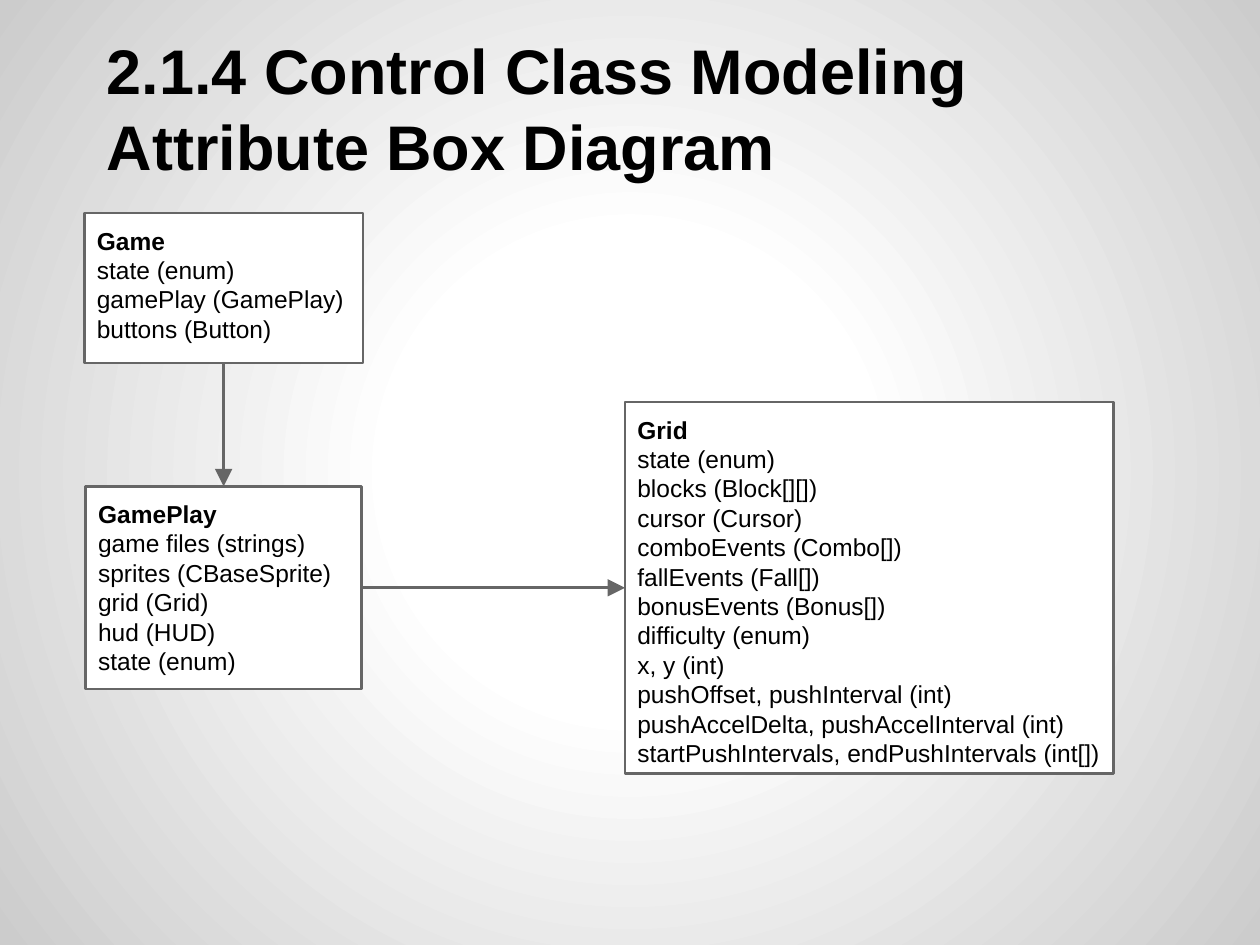
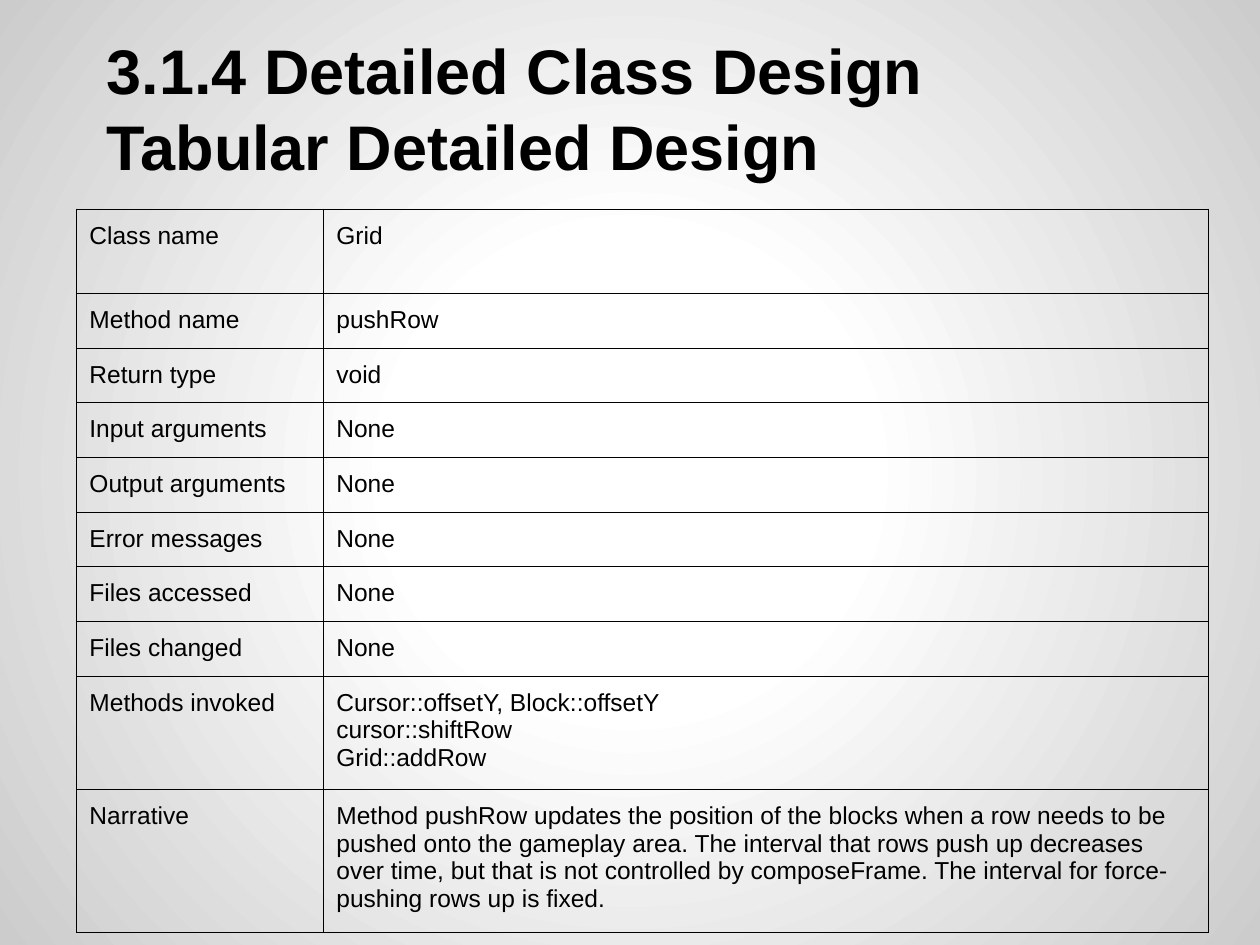
from dataclasses import dataclass

from lxml.etree import SubElement
from pptx import Presentation
from pptx.dml.color import RGBColor
from pptx.enum.shapes import MSO_CONNECTOR, MSO_SHAPE
from pptx.enum.text import MSO_ANCHOR, PP_ALIGN
from pptx.oxml import parse_xml
from pptx.oxml.ns import nsdecls, qn
from pptx.util import Inches, Pt


@dataclass(frozen=True)
class Theme:
    font: str = "Arial"
    text: str = "000000"
    box_fill: str = "FFFFFF"
    box_line: str = "666666"
    glow: str = "FFFFFF"
    edge: str = "CCCCCC"
    title_size: int = 36
    body_size: int = 14
    box_weight: float = 1.5
    border_weight: float = 0.75
    inset: float = 0.1


THEME = Theme()
TITLE_BOX = (0.5, 0.3, 9, 1.25)
TOP, LEFT, BOTTOM, RIGHT = range(4)

# Class boxes: position and attributes
CLASSES = {
    "Game": ((0.67, 1.69, 2.21, 1.19), [
        "state (enum)", "gamePlay (GamePlay)", "buttons (Button)"]),
    "GamePlay": ((0.68, 3.86, 2.19, 1.61), [
        "game files (strings)", "sprites (CBaseSprite)", "grid (Grid)",
        "hud (HUD)", "state (enum)"]),
    "Grid": ((4.96, 3.19, 3.88, 2.95), [
        "state (enum)", "blocks (Block[][])", "cursor (Cursor)",
        "comboEvents (Combo[])", "fallEvents (Fall[])",
        "bonusEvents (Bonus[])", "difficulty (enum)", "x, y (int)",
        "pushOffset, pushInterval (int)",
        "pushAccelDelta, pushAccelInterval (int)",
        "startPushIntervals, endPushIntervals (int[])"]),
}
ARROWS = [("Game", BOTTOM, "GamePlay", TOP), ("GamePlay", RIGHT, "Grid", LEFT)]

# Design table: row height, label, lines of the value
ROW = 0.43
DESIGN = [
    (0.67, "Class name", ["Grid"]),
    (ROW, "Method name", ["pushRow"]),
    (ROW, "Return type", ["void"]),
    (ROW, "Input arguments", ["None"]),
    (ROW, "Output arguments", ["None"]),
    (ROW, "Error messages", ["None"]),
    (ROW, "Files accessed", ["None"]),
    (ROW, "Files changed", ["None"]),
    (0.9, "Methods invoked", ["Cursor::offsetY, Block::offsetY",
                              "cursor::shiftRow", "Grid::addRow"]),
    (1.13, "Narrative", [
        "Method pushRow updates the position of the blocks when a row needs "
        "to be pushed onto the gameplay area. The interval that rows push up "
        "decreases over time, but that is not controlled by composeFrame. "
        "The interval for force-pushing rows up is fixed."]),
]


def rgb(value):
    return RGBColor.from_string(value)


def inches(box):
    return [Inches(v) for v in box]


def set_insets(target):
    for side in ("left", "top", "right", "bottom"):
        setattr(target, f"margin_{side}", Inches(THEME.inset))


def write_lines(tf, lines, size, bold_lines=0, indent=0):
    """One paragraph per line; the first bold_lines are bold."""
    tf.word_wrap = True
    for i, line in enumerate(lines):
        p = tf.paragraphs[0] if i == 0 else tf.add_paragraph()
        p.alignment = PP_ALIGN.LEFT
        if indent:
            p._p.get_or_add_pPr().set("indent", str(Inches(indent)))
        r = p.add_run()
        r.text = line
        r.font.name = THEME.font
        r.font.size = Pt(size)
        r.font.bold = i < bold_lines
        r.font.color.rgb = rgb(THEME.text)


def set_background(master):
    """Radial glow shared by every slide."""
    master.background.fill.gradient()
    grad = master.element.find(".//" + qn("a:gradFill"))
    stops = "".join(
        f'<a:gs pos="{pos * 1000}"><a:srgbClr val="{color}"/></a:gs>'
        for pos, color in ((0, THEME.glow), (30, THEME.glow), (100, THEME.edge)))
    radial = parse_xml(
        f'<a:gradFill {nsdecls("a")} rotWithShape="1"><a:gsLst>{stops}</a:gsLst>'
        '<a:path path="circle"><a:fillToRect l="50000" t="50000" r="50000" '
        'b="50000"/></a:path></a:gradFill>')
    grad.getparent().replace(grad, radial)


def add_title(s, box, lines):
    tf = s.shapes.add_textbox(*inches(box)).text_frame
    set_insets(tf)
    tf.vertical_anchor = MSO_ANCHOR.BOTTOM
    write_lines(tf, lines, THEME.title_size, len(lines), indent=0.25)


def add_class_box(s, box, name, attributes):
    sp = s.shapes.add_shape(MSO_SHAPE.RECTANGLE, *inches(box))
    sp.shadow.inherit = False
    sp.fill.solid()
    sp.fill.fore_color.rgb = rgb(THEME.box_fill)
    sp.line.color.rgb = rgb(THEME.box_line)
    sp.line.width = Pt(THEME.box_weight)
    tf = sp.text_frame
    set_insets(tf)
    tf.vertical_anchor = MSO_ANCHOR.TOP
    write_lines(tf, [name, *attributes], THEME.body_size, 1)
    return sp


def add_arrow(s, source, source_side, target, target_side):
    line = s.shapes.add_connector(MSO_CONNECTOR.STRAIGHT, 0, 0, 0, 0)
    line.begin_connect(source, source_side)
    line.end_connect(target, target_side)
    line.line.color.rgb = rgb(THEME.box_line)
    line.line.width = Pt(THEME.box_weight)
    SubElement(line.line._get_or_add_ln(), qn("a:tailEnd"),
               type="triangle", w="lg", len="lg")
    SubElement(line._element.spPr, qn("a:effectLst"))


def set_borders(cell):
    tc_pr = cell._tc.get_or_add_tcPr()
    for i, side in enumerate("LRTB"):
        tc_pr.insert(i, parse_xml(
            f'<a:ln{side} {nsdecls("a")} w="{Pt(THEME.border_weight)}">'
            f'<a:solidFill><a:srgbClr val="{THEME.text}"/></a:solidFill>'
            f'</a:ln{side}>'))


def add_design_table(s, left, top, widths, rows):
    height = sum(row[0] for row in rows)
    table = s.shapes.add_table(
        len(rows), len(widths),
        *inches((left, top, sum(widths), height))).table
    table.first_row = table.horz_banding = False
    for column, width in zip(table.columns, widths):
        column.width = Inches(width)
    for row, (row_height, label, value) in zip(table.rows, rows):
        row.height = Inches(row_height)
        for cell, lines in zip(row.cells, ([label], value)):
            set_insets(cell)
            cell.fill.background()
            set_borders(cell)
            write_lines(cell.text_frame, lines, THEME.body_size)


def new_slide(prs, title):
    s = prs.slides.add_slide(prs.slide_layouts[6])
    add_title(s, TITLE_BOX, title)
    return s


def build_diagram_slide(prs):
    s = new_slide(prs, ["2.1.4 Control Class Modeling", "Attribute Box Diagram"])
    boxes = {name: add_class_box(s, box, name, attributes)
             for name, (box, attributes) in CLASSES.items()}
    for source, source_side, target, target_side in ARROWS:
        add_arrow(s, boxes[source], source_side, boxes[target], target_side)


def build_table_slide(prs):
    s = new_slide(prs, ["3.1.4 Detailed Class Design", "Tabular Detailed Design"])
    add_design_table(s, 0.61, 1.66, (1.96, 7.02), DESIGN)


def main():
    prs = Presentation()
    prs.slide_width, prs.slide_height = Inches(10), Inches(7.5)
    set_background(prs.slide_master)
    build_diagram_slide(prs)
    build_table_slide(prs)
    prs.save("out.pptx")


if __name__ == "__main__":
    main()
